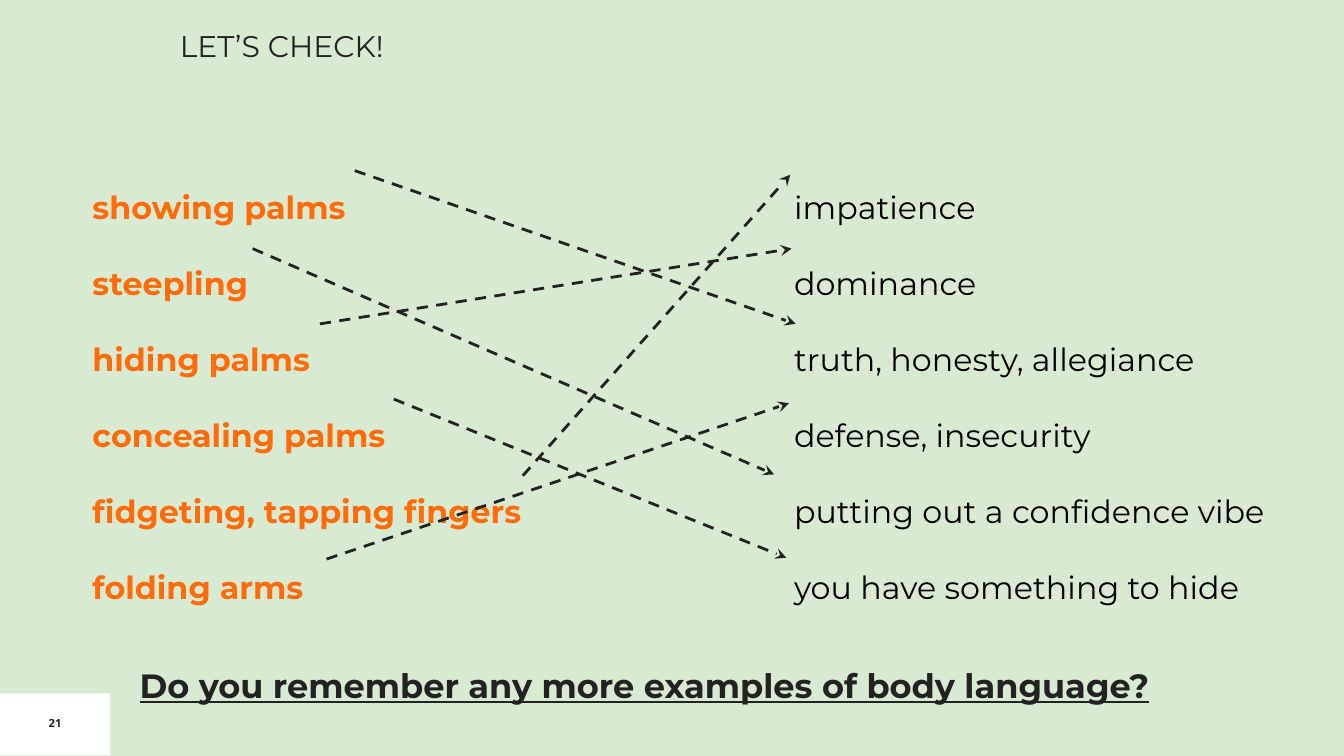
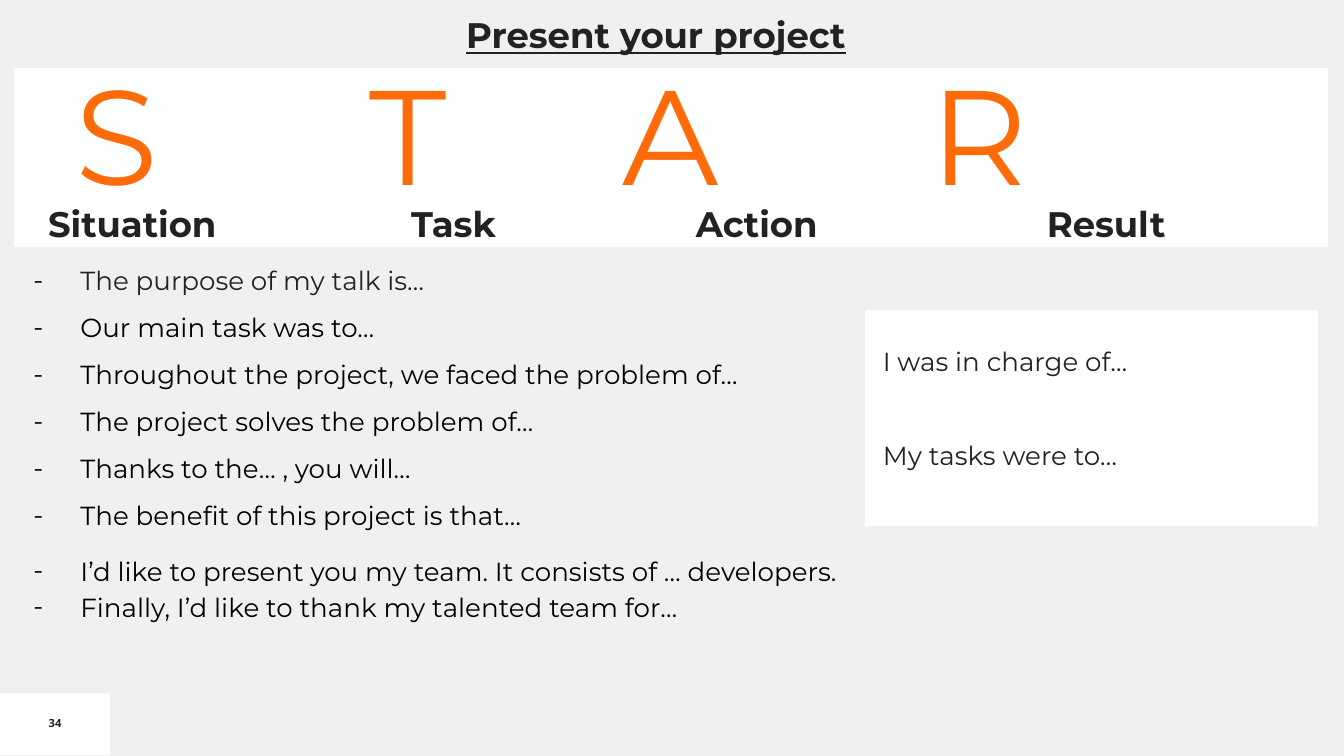
"""Builds two English lesson slides: a matching check and a STAR project outline."""
from lxml import etree
from pptx import Presentation
from pptx.dml.color import RGBColor
from pptx.enum.dml import MSO_LINE
from pptx.enum.shapes import MSO_CONNECTOR, MSO_SHAPE
from pptx.enum.text import MSO_ANCHOR, MSO_AUTO_SIZE, PP_ALIGN
from pptx.oxml.ns import qn
from pptx.util import Inches, Pt

RECTANGLE = MSO_SHAPE.RECTANGLE
STRAIGHT = MSO_CONNECTOR.STRAIGHT
DASH = MSO_LINE.DASH
MIDDLE = MSO_ANCHOR.MIDDLE
CENTER = PP_ALIGN.CENTER
GROW = MSO_AUTO_SIZE.SHAPE_TO_FIT_TEXT
FIXED = MSO_AUTO_SIZE.NONE

SLIDE_WIDTH = Inches(10)
SLIDE_HEIGHT = SLIDE_WIDTH * 9 // 16

GREEN = RGBColor(0xD9, 0xEA, 0xD3)
GREY = RGBColor(0xF0, 0xF0, 0xF0)
WHITE = RGBColor(0xFE, 0xFF, 0xFF)
INK = RGBColor(0x22, 0x22, 0x22)
BLACK = RGBColor(0, 0, 0)
ORANGE = RGBColor(0xFF, 0x6B, 0x08)

FONT = "Montserrat"
NUMBER_FONT = "Open Sans"

TITLE = {"size": Pt(16)}
HEADING = {"size": Pt(19), "bold": True}
UNDERLINED_HEADING = {**HEADING, "underline": True}
QUESTION = {"size": Pt(18), "bold": True, "underline": True}
GESTURE = {"size": Pt(17), "bold": True, "color": ORANGE}
MEANING = {"size": Pt(17), "color": BLACK}
STAR_LETTERS = {"size": Pt(72), "color": ORANGE}
PHRASE = {"size": Pt(14)}
PAGE_NUMBER = {"size": Pt(6), "bold": True, "name": NUMBER_FONT}

GESTURES = ["showing palms", "steepling", "hiding palms", "concealing palms",
            "fidgeting, tapping fingers", "folding arms"]
MEANINGS = ["impatience", "dominance", "truth, honesty, allegiance",
            "defense, insecurity", "putting out a confidence vibe",
            "you have something to hide"]
MATCHES = [
    ((2.64, 1.27), (5.92, 2.41)),
    ((1.88, 1.85), (5.76, 3.53)),
    ((2.38, 2.41), (5.89, 1.85)),
    ((2.93, 2.97), (5.85, 4.15)),
    ((2.43, 4.16), (5.87, 3.0)),
    ((3.89, 3.54), (5.88, 1.3)),
]
STAR_TABS = [2.19, 4.07, 6.36]
STAR_WORDS = [("Situation", 0.26, 1.54), ("Task", 2.96, 0.95),
              ("Action", 5.08, 1.24), ("Result", 7.69, 1.11)]
PHRASES = [
    "The purpose of my talk is…",
    "Our main task was to…",
    "Throughout the project, we faced the problem of…",
    "The project solves the problem of…",
    "Thanks to the… , you will…",
    "The benefit of this project is that…",
    "I’d like to present you my team. It consists of … developers.",
    "Finally, I’d like to thank my talented team for…",
]


def set_attributes(target, values):
    """Set each named attribute of the target."""
    for name, value in values.items():
        setattr(target, name, value)


def set_font(font, style):
    """Apply a text style on top of the shared font and ink colour."""
    values = {"name": FONT, "color": INK, **style}
    font.color.rgb = values.pop("color")
    set_attributes(font, values)


def add_slide(presentation, background, number):
    """Add a blank slide with its background and numbered corner."""
    slide = presentation.slides.add_slide(presentation.slide_layouts[6])
    slide.background.fill.solid()
    slide.background.fill.fore_color.rgb = background
    add_panel(slide, (0, 5.16, 0.82, 0.46), outlined=False)
    frame = add_text(slide, (0, 5.23, 0.82, 0.3), [number], PAGE_NUMBER)
    set_attributes(frame, {
        "auto_size": FIXED, "vertical_anchor": MIDDLE,
        "margin_left": Inches(0.07), "margin_right": Inches(0.07),
        "margin_top": Inches(0.04), "margin_bottom": Inches(0.04)})
    frame.paragraphs[0].alignment = CENTER
    return slide


def add_panel(slide, box, outlined=True):
    """Add a white rectangle."""
    shape = slide.shapes.add_shape(RECTANGLE, *map(Inches, box))
    shape.shadow.inherit = False
    shape.fill.solid()
    shape.fill.fore_color.rgb = WHITE
    if outlined:
        shape.line.color.rgb = WHITE
        shape.line.width = Pt(0.75)
    else:
        shape.line.fill.background()


def add_text(slide, box, lines, style, spacing=1.0, bullets=False, tabs=()):
    """Add a text box with one paragraph per line and return its frame."""
    frame = slide.shapes.add_textbox(*map(Inches, box)).text_frame
    margins = ("margin_left", "margin_right", "margin_top", "margin_bottom")
    set_attributes(frame, {"word_wrap": True, "auto_size": GROW,
                           **dict.fromkeys(margins, Inches(0.1))})
    for index, line in enumerate(lines):
        paragraph = frame.add_paragraph() if index else frame.paragraphs[0]
        if bullets:
            add_dash_bullet(paragraph)
        if tabs:
            add_tabs(paragraph, tabs)
        paragraph.line_spacing = spacing
        run = paragraph.add_run()
        run.text = line
        set_font(run.font, style)
    return frame


def add_dash_bullet(paragraph):
    """Give the paragraph a hanging black dash."""
    properties = paragraph._p.get_or_add_pPr()
    properties.set("marL", str(Inches(0.5)))
    properties.set("indent", str(Inches(-0.35)))
    color = etree.SubElement(properties, qn("a:buClr"))
    etree.SubElement(color, qn("a:srgbClr"), val=str(BLACK))
    etree.SubElement(properties, qn("a:buFont"), typeface=FONT)
    etree.SubElement(properties, qn("a:buChar"), char="-")


def add_tabs(paragraph, positions):
    """Add left tab stops at the given inches."""
    tabs = etree.SubElement(paragraph._p.get_or_add_pPr(), qn("a:tabLst"))
    for position in positions:
        etree.SubElement(tabs, qn("a:tab"), pos=str(Inches(position)), algn="l")


def add_match_arrow(slide, start, end):
    """Add a dashed arrow from a gesture to its meaning."""
    connector = slide.shapes.add_connector(STRAIGHT, *map(Inches, start + end))
    connector.line.color.rgb = INK
    set_attributes(connector.line, {"width": Pt(1.5), "dash_style": DASH})
    etree.SubElement(connector.line._get_or_add_ln(), qn("a:tailEnd"), type="stealth")
    etree.SubElement(connector._element.spPr, qn("a:effectLst"))


def build_check_slide(presentation):
    """Build the slide that matches gestures with meanings."""
    slide = add_slide(presentation, GREEN, "21")
    add_text(slide, (1.24, 0.11, 5.16, 0.47), ["LET’S CHECK!"], TITLE)
    add_text(slide, (0.59, 1.01, 3.56, 3.35), GESTURES, GESTURE, spacing=2.0)
    add_text(slide, (0.94, 4.55, 8.23, 0.5),
             ["Do you remember any more examples of body language?"],
             QUESTION, spacing=2.0)
    add_text(slide, (5.81, 1.01, 3.84, 3.35), MEANINGS, MEANING, spacing=2.0)
    for start, end in MATCHES:
        add_match_arrow(slide, start, end)


def build_star_slide(presentation):
    """Build the slide that outlines a project talk."""
    slide = add_slide(presentation, GREY, "34")
    add_text(slide, (3.37, 0, 3.18, 0.52), ["Present your project"], UNDERLINED_HEADING)
    add_panel(slide, (0.11, 0.51, 9.77, 1.32))
    letters = add_text(slide, (0.2, 0.28, 9.59, 1.41), ["\t".join("STAR")],
                       STAR_LETTERS, tabs=STAR_TABS)
    letters.margin_left = Inches(0.36)
    for word, left, width in STAR_WORDS:
        add_text(slide, (left, 1.4, width, 0.52), [word], HEADING)

    phrases = add_text(slide, (0, 1.52, 10, 3.33), PHRASES,
                       {**PHRASE, "color": BLACK}, spacing=1.5, bullets=True)
    phrases.margin_top = Inches(0.33)
    phrases.paragraphs[0].runs[0].font.color.rgb = INK
    team, thanks = phrases.paragraphs[-2:]
    team.space_before = Pt(4.5)
    thanks.line_spacing = 1.15

    add_panel(slide, (6.44, 2.31, 3.36, 1.6))
    roles = add_text(slide, (6.47, 2.35, 3.54, 1.14),
                     ["I was in charge of…", "My tasks were to…"], PHRASE, spacing=1.5)
    roles.paragraphs[1].space_before = Pt(25.5)


def main():
    """Build and save the presentation."""
    presentation = Presentation()
    set_attributes(presentation, {"slide_width": SLIDE_WIDTH, "slide_height": SLIDE_HEIGHT})
    build_check_slide(presentation)
    build_star_slide(presentation)
    presentation.save("out.pptx")


if __name__ == "__main__":
    main()
